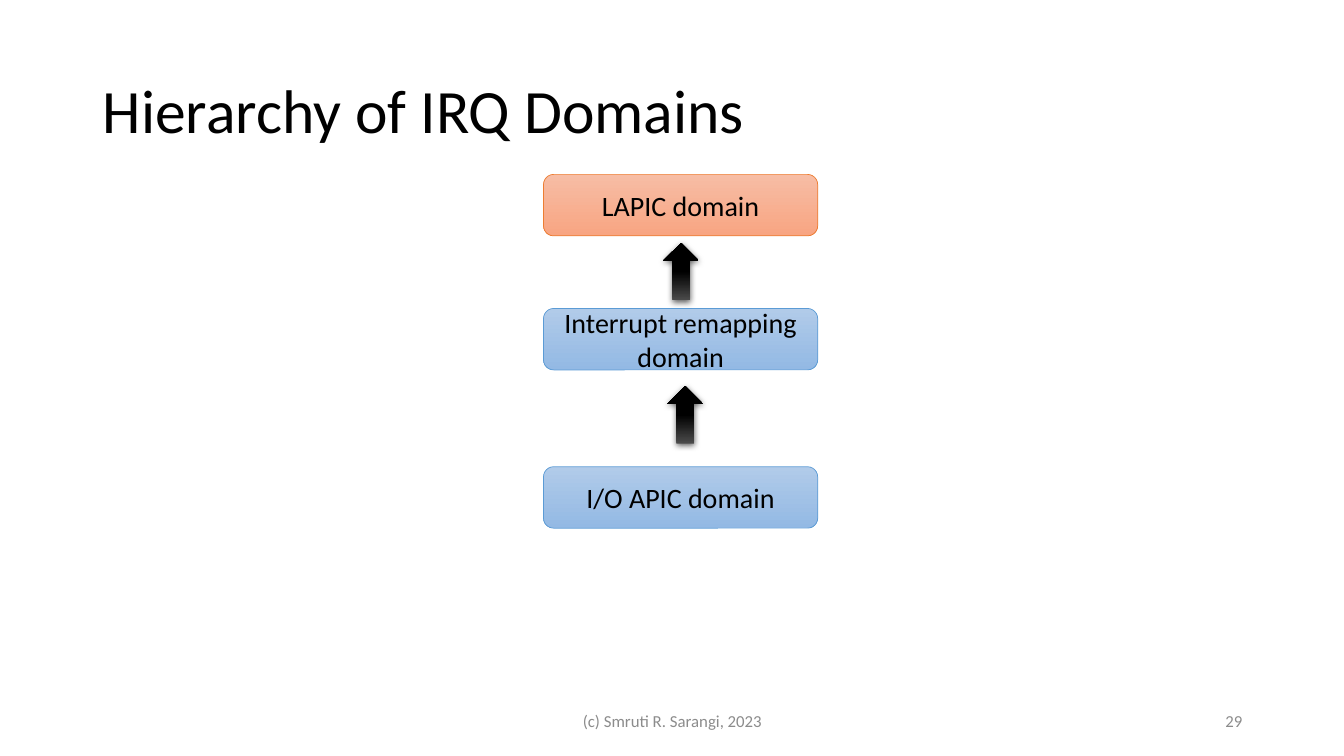
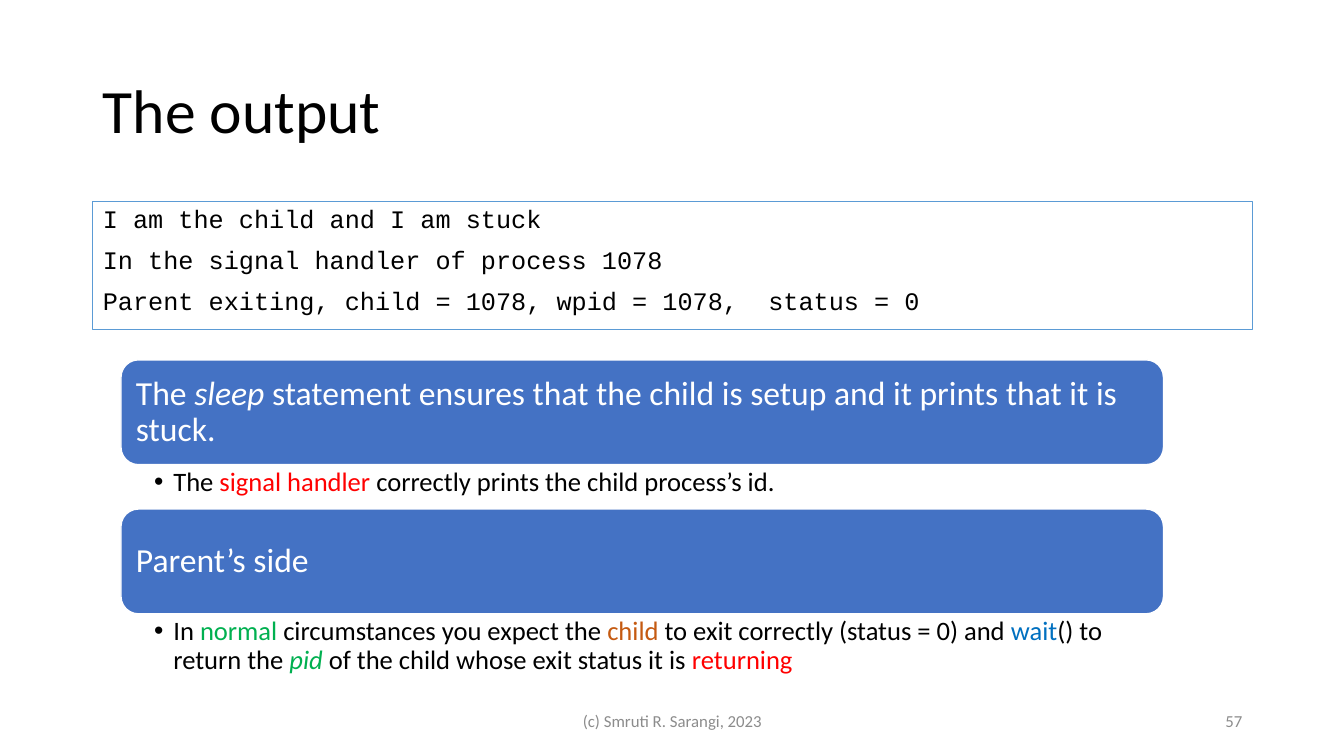
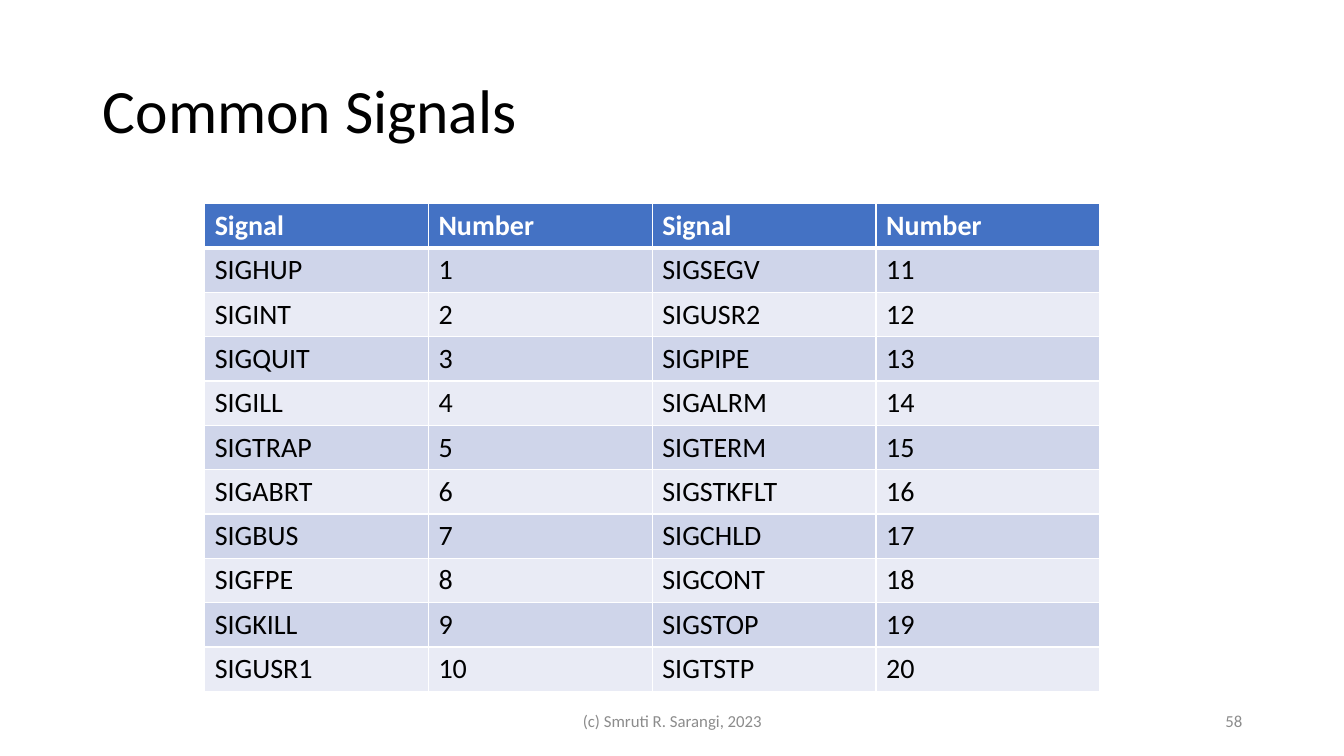
import dataclasses

import lxml.etree
import pptx
import pptx.dml.color
import pptx.enum.shapes
import pptx.enum.text
import pptx.oxml.ns
import pptx.util

Inches = pptx.util.Inches
Pt = pptx.util.Pt
Align = pptx.enum.text.PP_ALIGN
Anchor = pptx.enum.text.MSO_ANCHOR
Shape = pptx.enum.shapes.MSO_SHAPE
qn = pptx.oxml.ns.qn


@dataclasses.dataclass(frozen=True)
class Theme:
    font: str = "Calibri"
    code_font: str = "Courier New"
    title_size: int = 44
    heading_size: int = 24
    label_size: int = 20
    bullet_size: int = 19
    code_size: int = 18
    footer_size: int = 12
    black: str = "000000"
    white: str = "FFFFFF"
    gray: str = "8C8C8C"
    red: str = "FF0000"
    green: str = "00B050"
    brown: str = "C55A11"
    azure: str = "0070C0"
    accent: str = "4472C4"
    outline_blue: str = "5B9BD5"
    outline_orange: str = "ED7D31"
    blue_gradient: tuple = ("B1CBE9", "93B9E4")
    orange_gradient: tuple = ("F7BDA5", "F8A582")
    arrow_gradient: tuple = ("4B4B4B", "000000")
    row_bands: tuple = ("CFD5EA", "E9EBF5")


THEME = Theme()
TITLE_ONLY, TITLE_AND_BODY = 5, 1
FOOTER = "(c) Smruti R. Sarangi, 2023"
MARGIN, CONTENT_WIDTH = 0.92, 11.5


def rgb(value):
    return pptx.dml.color.RGBColor.from_string(value)


def place(shape, left, top, width, height):
    shape.left, shape.top = Inches(left), Inches(top)
    shape.width, shape.height = Inches(width), Inches(height)


def add_span(para, text, size, color=THEME.black, font=THEME.font, bold=False, italic=False):
    span = para.add_run()
    span.text = text
    span.font.name, span.font.size = font, Pt(size)
    span.font.bold, span.font.italic = bold, italic
    span.font.color.rgb = rgb(color)


def set_bullet(para, char=None, indent=0.0):
    """Give the paragraph a hanging bullet, or none at all."""
    props = para._p.get_or_add_pPr()
    props.set("marL", str(Inches(indent)))
    props.set("indent", str(-Inches(indent)))
    if char:
        lxml.etree.SubElement(props, qn("a:buFont")).set("typeface", "Arial")
        lxml.etree.SubElement(props, qn("a:buChar")).set("char", char)
    else:
        lxml.etree.SubElement(props, qn("a:buNone"))


def add_text_box(page, box, insets=(0.1, 0.05, 0.1, 0.05), anchor=Anchor.TOP):
    frame = page.shapes.add_textbox(*map(Inches, box)).text_frame
    frame.word_wrap, frame.vertical_anchor = True, anchor
    (frame.margin_left, frame.margin_top,
     frame.margin_right, frame.margin_bottom) = map(Inches, insets)
    return frame


def add_footer(page, text, box, align):
    para = add_text_box(page, box, anchor=Anchor.MIDDLE).paragraphs[0]
    para.alignment = align
    add_span(para, text, THEME.footer_size, THEME.gray)


def add_page(deck, title, number, layout=TITLE_ONLY):
    page = deck.slides.add_slide(deck.slide_layouts[layout])
    place(page.shapes.title, MARGIN, 0.4, CONTENT_WIDTH, 1.45)
    frame = page.shapes.title.text_frame
    frame.auto_size = pptx.enum.text.MSO_AUTO_SIZE.NONE
    frame.vertical_anchor = Anchor.MIDDLE
    para = frame.paragraphs[0]
    para.alignment, para.line_spacing = Align.LEFT, 0.9
    add_span(para, title, THEME.title_size)
    add_footer(page, FOOTER, (4.42, 6.95, 4.5, 0.4), Align.CENTER)
    add_footer(page, str(number), (9.42, 6.95, 3, 0.4), Align.RIGHT)
    return page


def fill_gradient(shape, colors, end=1.0):
    """Blend two colours from top to bottom, reaching the second at end."""
    shape.fill.gradient()
    shape.fill.gradient_angle = 270
    for stop, color, position in zip(shape.fill.gradient_stops, colors, (0.0, end)):
        stop.color.rgb = rgb(color)
        stop.position = position


def add_rounded_box(page, box, line_color, line_width):
    shape = page.shapes.add_shape(Shape.ROUNDED_RECTANGLE, *map(Inches, box))
    shape.shadow.inherit = False
    shape.line.color.rgb, shape.line.width = rgb(line_color), Pt(line_width)
    shape.text_frame.word_wrap = True
    shape.text_frame.vertical_anchor = Anchor.MIDDLE
    return shape


def add_domain(page, label, top, gradient, outline):
    shape = add_rounded_box(page, (5.39, top, 2.72, 0.61), outline, 0.5)
    fill_gradient(shape, gradient)
    para = shape.text_frame.paragraphs[0]
    para.alignment = Align.CENTER
    add_span(para, label, THEME.label_size)


def add_shadow(shape):
    shape.shadow.inherit = False
    effects = shape._element.spPr.find(qn("a:effectLst"))
    shadow = lxml.etree.SubElement(effects, qn("a:outerShdw"))
    for name, value in (("blurRad", Pt(4.5)), ("dist", Pt(1.5)),
                        ("dir", 90 * 60000), ("rotWithShape", 0)):
        shadow.set(name, str(value))
    color = lxml.etree.SubElement(shadow, qn("a:srgbClr"))
    color.set("val", THEME.black)
    lxml.etree.SubElement(color, qn("a:alpha")).set("val", "63000")


def add_up_arrow(page, left, top):
    arrow = page.shapes.add_shape(Shape.DOWN_ARROW, *map(Inches, (left, top, 0.35, 0.57)))
    arrow.rotation = 180
    fill_gradient(arrow, THEME.arrow_gradient, end=0.5)
    arrow.line.fill.background()
    add_shadow(arrow)


def add_code(page, lines):
    body = page.placeholders[1]
    place(body, MARGIN, 2, CONTENT_WIDTH, 1.27)
    body.fill.solid()
    body.fill.fore_color.rgb = rgb(THEME.white)
    body.line.color.rgb, body.line.width = rgb(THEME.outline_blue), Pt(1)
    frame = body.text_frame
    frame.auto_size = pptx.enum.text.MSO_AUTO_SIZE.NONE
    for index, line in enumerate(lines):
        para = frame.add_paragraph() if index else frame.paragraphs[0]
        para.line_spacing, para.space_before = 0.9, Pt(10)
        set_bullet(para)
        add_span(para, line, THEME.code_size, font=THEME.code_font)


def add_point(page, top, heading, detail, detail_height):
    """Add a filled heading bar with one bullet below it."""
    left, width, bar_height = 1.2, 10.34, 1.04
    bar = add_rounded_box(page, (left, top, width, bar_height), THEME.white, 1)
    bar.fill.solid()
    bar.fill.fore_color.rgb = rgb(THEME.accent)
    para = bar.text_frame.paragraphs[0]
    para.alignment, para.line_spacing = Align.LEFT, 0.9
    for text, italic in heading:
        add_span(para, text, THEME.heading_size, THEME.white, italic=italic)

    box = (left, top + bar_height + 0.01, width, detail_height)
    para = add_text_box(page, box, (0.33, 0.03, 0.19, 0.03)).paragraphs[0]
    para.level, para.line_spacing = 1, 0.9
    set_bullet(para, "•", 0.19)
    for text, color, italic in detail:
        add_span(para, text, THEME.bullet_size, color, italic=italic)


def set_border(cell, side, width):
    line = lxml.etree.SubElement(cell._tc.get_or_add_tcPr(), qn("a:ln" + side))
    line.set("w", str(Pt(width)))
    fill = lxml.etree.SubElement(line, qn("a:solidFill"))
    lxml.etree.SubElement(fill, qn("a:srgbClr")).set("val", THEME.white)


def add_table(page, rows, left, top, column_width, row_height):
    columns = len(rows[0])
    size = (column_width * columns, row_height * len(rows))
    table = page.shapes.add_table(len(rows), columns, *map(Inches, (left, top, *size))).table
    for r, row in enumerate(rows):
        header = r == 0
        fill = THEME.accent if header else THEME.row_bands[(r - 1) % 2]
        for c, text in enumerate(row):
            cell = table.cell(r, c)
            for side in "LRTB":
                under_header = (r, side) in ((0, "B"), (1, "T"))
                set_border(cell, side, 3 if under_header else 1)
            cell.fill.solid()
            cell.fill.fore_color.rgb = rgb(fill)
            add_span(cell.text_frame.paragraphs[0], text, THEME.label_size,
                     THEME.white if header else THEME.black, bold=header)


def build_hierarchy(deck):
    page = add_page(deck, "Hierarchy of IRQ Domains", 29)
    blue = (THEME.blue_gradient, THEME.outline_blue)
    add_domain(page, "LAPIC domain", 1.73, THEME.orange_gradient, THEME.outline_orange)
    add_domain(page, "Interrupt remapping domain", 3.06, *blue)
    add_up_arrow(page, 6.58, 2.41)
    add_up_arrow(page, 6.62, 3.83)
    add_domain(page, "I/O APIC domain", 4.63, *blue)


def build_output(deck):
    page = add_page(deck, "The output", 57, TITLE_AND_BODY)
    add_code(page, ("I am the child and I am stuck",
                    "In the signal handler of process 1078",
                    "Parent exiting, child = 1078, wpid = 1078,  status = 0"))
    add_point(page, 3.57, (
        ("The ", False),
        ("sleep", True),
        (" statement ensures that the child is setup and it prints that it is stuck.", False),
    ), (
        ("The ", THEME.black, False),
        ("signal handler ", THEME.red, False),
        ("correctly prints the child process’s id.", THEME.black, False),
    ), 0.43)
    add_point(page, 5.05, (("Parent’s side", False),), (
        ("In ", THEME.black, False),
        ("normal", THEME.green, False),
        (" circumstances you expect the ", THEME.black, False),
        ("child", THEME.brown, False),
        (" to exit correctly (status = 0) and ", THEME.black, False),
        ("wait", THEME.azure, False),
        ("() to return the ", THEME.black, False),
        ("pid", THEME.green, True),
        (" of the child whose exit status it is ", THEME.black, False),
        ("returning", THEME.red, False),
    ), 0.65)


def build_signals(deck):
    page = add_page(deck, "Common Signals", 58)
    signals = ("SIGHUP SIGINT SIGQUIT SIGILL SIGTRAP SIGABRT SIGBUS SIGFPE SIGKILL SIGUSR1 "
               "SIGSEGV SIGUSR2 SIGPIPE SIGALRM SIGTERM SIGSTKFLT SIGCHLD SIGCONT SIGSTOP "
               "SIGTSTP").split()
    half = len(signals) // 2
    rows = [("Signal", "Number") * 2]
    for i in range(half):
        rows.append((signals[i], str(i + 1), signals[i + half], str(i + half + 1)))
    add_table(page, rows, 2.03, 2.02, 2.22, 0.44)


def main():
    deck = pptx.Presentation()
    deck.slide_width, deck.slide_height = Inches(13.33), Inches(7.5)
    build_hierarchy(deck)
    build_output(deck)
    build_signals(deck)
    deck.save("out.pptx")


if __name__ == "__main__":
    main()
